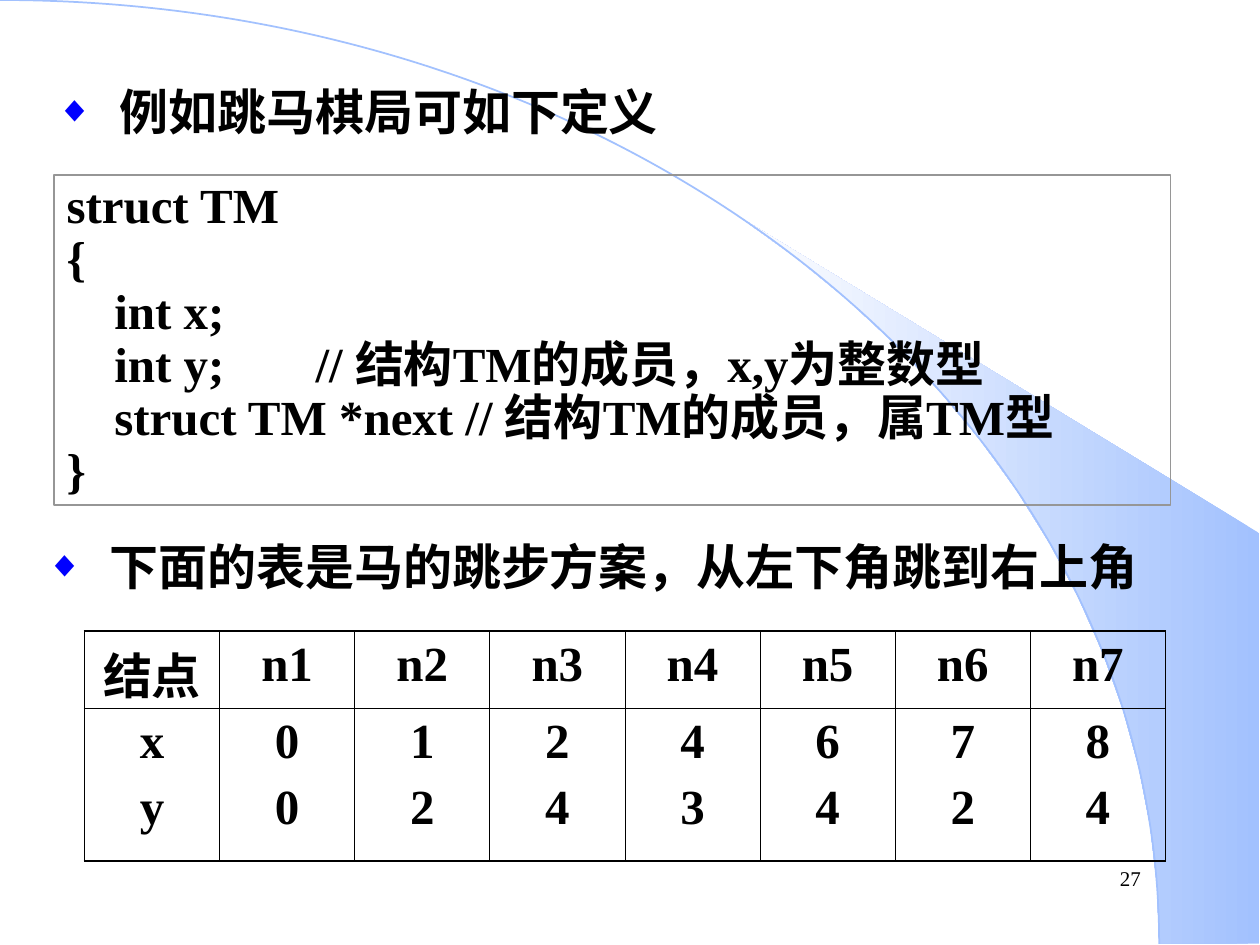
"""Build the slide that defines the knight's board structure and lists its jumps."""
import math
from lxml import etree
from pptx import Presentation, util as u
from pptx.dml.color import RGBColor
from pptx.enum import shapes, text
from pptx.oxml import ns

SERIF, SANS = "Times New Roman", "Noto Sans CJK SC"
BLACK, BLUE, PALE, GREY = "000000", "0000FF", "A2C1FE", "969696"
POINTS = [
    ("例如跳马棋局可如下定义", (0.35, 0.6, 5.67, 0.57)),
    ("下面的表是马的跳步方案，从左下角跳到右上角", (0.27, 4.21, 9.37, 0.57)),
]
CODE = [
    "struct TM",
    "{",
    "\tint x;",
    "\tint y;\t\t // 结构TM的成员，x,y为整数型",
    "\tstruct TM *next // 结构TM的成员，属TM型",
    "}",
]
HEADS = ["结点", "n1", "n2", "n3", "n4", "n5", "n6", "n7"]
JUMPS = ["x\ny", "0\n0", "1\n2", "2\n4", "4\n3", "6\n4", "7\n2", "8\n4"]
ROWS = [0.6, 1.21]
THICK, THIN = 1.08, 0.45
ARC_W, ARC_H = 9.2, 7.49
BENDS = [(5.08, 0), (ARC_W, 3.35), (ARC_W, ARC_H)]


def color(code):
    return RGBColor.from_string(code)


def box(*sizes):
    return [u.Inches(size) for size in sizes]


def add(parent, tag, **attrs):
    return etree.SubElement(parent, ns.qn(tag), {k: str(v) for k, v in attrs.items()})


def style(frame, size=28, font=SERIF, bold=True, align=text.PP_ALIGN.LEFT, before=0, lines=1.0):
    frame.word_wrap = True
    frame.vertical_anchor = text.MSO_ANCHOR.TOP
    for para in frame.paragraphs:
        para.alignment = align
        para.space_before, para.line_spacing = u.Pt(before), lines
        for run in para.runs:
            run.font.size, run.font.bold, run.font.name = u.Pt(size), bold, font
            run.font.color.rgb = color(BLACK)
            add(run.font._element, "a:ea", typeface=SANS)


def indent(para, size):
    props = para._p.get_or_add_pPr()
    props.set("marL", str(u.Inches(size)))
    props.set("indent", str(-u.Inches(size)))
    return props


def arc(start, stop, count):
    angles = [math.radians(start + (stop - start) * i / count) for i in range(count + 1)]
    return [(ARC_W * math.sin(a), ARC_H * (1 - math.cos(a))) for a in angles]


def outline(slide, dots, close):
    dots = [box(*dot) for dot in dots]
    pen = slide.shapes.build_freeform(*dots[0], scale=1.0)
    pen.add_line_segments(dots[1:], close=close)
    shape = pen.convert_to_shape()
    shape.shadow.inherit = False
    slide.shapes._spTree.insert(2, shape._element)
    return shape


def draw_back(slide):
    curve = outline(slide, [(0, 0), (ARC_W, ARC_H)], False)
    line = curve._element.find(".//" + ns.qn("a:lnTo"))
    bend = add(line.getparent(), "a:cubicBezTo")
    line.getparent().remove(line)
    for x, y in BENDS:
        add(bend, "a:pt", x=u.Inches(x), y=u.Inches(y))
    curve.fill.background()
    curve.line.color.rgb, curve.line.width = color(PALE), u.Pt(1)
    beam = outline(slide, arc(39.8, 90, 14) + [(9.99, 7.49), (9.99, 4.23)], True)
    beam.line.fill.background()
    beam.fill.gradient()
    beam.fill.gradient_angle = 180
    for stop, code, place in zip(beam.fill.gradient_stops, (PALE, "FFFFFF"), (0, 1)):
        stop.color.rgb, stop.position = color(code), place


def fill_point(shape, words, place):
    shape.left, shape.top, shape.width, shape.height = box(*place)
    frame = shape.text_frame
    frame.text = words
    frame.auto_size = text.MSO_AUTO_SIZE.NONE
    style(frame, font=SANS, before=7)
    props = indent(frame.paragraphs[0], 0.5)
    add(add(props, "a:buClr"), "a:srgbClr", val=BLUE)
    add(props, "a:buSzPct", val=75000)
    add(props, "a:buFont", typeface=SERIF)
    add(props, "a:buChar", char="◆")


def add_code(slide):
    shape = slide.shapes.add_shape(shapes.MSO_SHAPE.RECTANGLE, *box(0.43, 1.39, 8.86, 2.62))
    shape.shadow.inherit = False
    shape.fill.background()
    shape.line.color.rgb, shape.line.width = color(GREY), u.Pt(1)
    frame = shape.text_frame
    frame.text = "\n".join(CODE)
    style(frame, lines=0.9)
    for para in frame.paragraphs:
        indent(para, 0.38)


def edge(cell, sides):
    props = cell._tc.get_or_add_tcPr()
    for i, (side, width) in enumerate(sides.items()):
        line = etree.Element(ns.qn("a:" + side), w=str(u.Pt(width)))
        add(add(line, "a:solidFill"), "a:srgbClr", val=BLACK)
        props.insert(i, line)


def add_jumps(slide):
    cols = len(HEADS)
    table = slide.shapes.add_table(2, cols, *box(0.67, 5.01, 8.58, sum(ROWS))).table
    table.first_row = table.horz_banding = False
    for r, (row, high) in enumerate(zip((HEADS, JUMPS), ROWS)):
        table.rows[r].height = u.Inches(high)
        for c, words in enumerate(row):
            cell = table.cell(r, c)
            cell.text_frame.text = words
            cell.margin_bottom = 0
            style(cell.text_frame, align=text.PP_ALIGN.CENTER, before=7)
            cell.fill.background()
            outer = {"lnL": c == 0, "lnR": c == cols - 1, "lnT": r == 0, "lnB": r == 1}
            edge(cell, {side: THICK if out else THIN for side, out in outer.items()})


def main():
    deck = Presentation()
    deck.slide_width, deck.slide_height = box(10, 7.5)
    slide = deck.slides.add_slide(deck.slide_layouts[3])
    title, *bodies = list(slide.placeholders)[:3]
    title._element.getparent().remove(title._element)
    for body, (words, place) in zip(bodies, POINTS):
        fill_point(body, words, place)
    draw_back(slide)
    add_code(slide)
    add_jumps(slide)
    page = slide.shapes.add_textbox(*box(8.79, 6.82, 0.9, 0.3)).text_frame
    page.text = "27"
    style(page, size=12, bold=False)
    deck.save("out.pptx")


if __name__ == "__main__":
    main()
